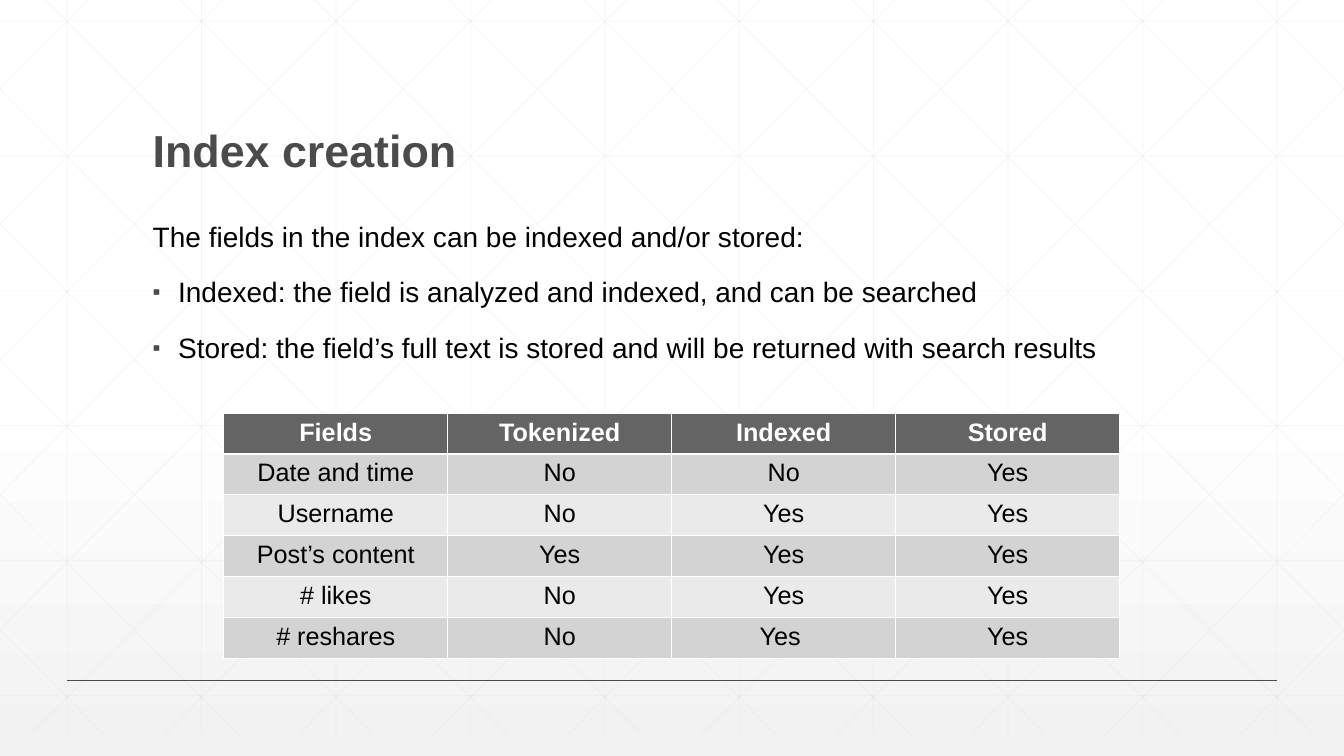
from lxml import etree
from pptx import Presentation
from pptx.dml.color import RGBColor
from pptx.enum import shapes, text
from pptx.oxml import ns
from pptx.util import Cm, Pt

WHITE = RGBColor(0xFF, 0xFF, 0xFF)
PALE = RGBColor(0xF2, 0xF2, 0xF2)
MESH = RGBColor(0xD9, 0xD9, 0xD9)
DARK = RGBColor(0x4B, 0x4B, 0x4B)
BLACK = RGBColor(0, 0, 0)
HEAD = RGBColor(0x64, 0x64, 0x64)
BANDS = RGBColor(0xEA, 0xEA, 0xEA), RGBColor(0xD3, 0xD3, 0xD3)

FONT = "Arial"
WIDE, HIGH = 33.87, 19.05
TOP, BASE = -0.53, 18.52
STEP = WIDE / 10
LEAN = 18.94

POINTS = [
    "The fields in the index can be indexed and/or stored:",
    "Indexed: the field is analyzed and indexed, and can be searched",
    "Stored: the field’s full text is stored and will be returned with search results",
]
ROWS = [
    ("Fields", "Tokenized", "Indexed", "Stored"),
    ("Date and time", "No", "No", "Yes"),
    ("Username", "No", "Yes", "Yes"),
    ("Post’s content", "Yes", "Yes", "Yes"),
    ("# likes", "No", "Yes", "Yes"),
    ("# reshares", "No", "Yes ", "Yes"),
]


def add_line(tree, ends, color, width, alpha=None):
    """Draw a straight line between two points, given in centimetres."""
    line = tree.add_connector(shapes.MSO_CONNECTOR.STRAIGHT, *map(Cm, ends))
    line.line.color.rgb = color
    line.line.width = Pt(width)
    props = line._element.spPr
    if alpha:
        tint = props.find(".//" + ns.qn("a:srgbClr"))
        etree.SubElement(tint, ns.qn("a:alpha"), val=str(alpha * 1000))
    etree.SubElement(props, ns.qn("a:effectLst"))


def add_mesh(slide):
    """Draw the faint grid with its diagonals, cut at the slide's sides."""
    ends = [(x, TOP, x, BASE) for x in (STEP * (i + 0.5) for i in range(10))]
    ends += [(0, y, WIDE, y) for y in (0.53 + 3.4 * i for i in range(6))]
    slope = (BASE - TOP) / LEAN
    for i in range(-5, 10):
        start = 0.63 + STEP * i
        left, right = max(start, 0), min(start + LEAN, WIDE)
        high, low = (TOP + (x - start) * slope for x in (left, right))
        ends += [(left, high, right, low), (WIDE - left, high, WIDE - right, low)]
    group = slide.shapes.add_group_shape()
    for item in ends:
        add_line(group.shapes, item, MESH, 0.5, 25)


def add_back(slide):
    """Fill the background with a gradient from white to pale grey."""
    fill = slide.background.fill
    fill.gradient()
    fill.gradient_angle = 270
    for stop, place, color in zip(fill.gradient_stops, (0.53, 1), (WHITE, PALE)):
        stop.position = place
        stop.color.rgb = color


def set_font(para, size, color, bold=False):
    """Set the font of a paragraph."""
    font = para.font
    font.name, font.size, font.bold = FONT, Pt(size), bold
    font.color.rgb = color


def add_text(slide, box, lines, size, color, bold=False):
    """Add a wrapped text box and return its frame."""
    frame = slide.shapes.add_textbox(*map(Cm, box)).text_frame
    frame.word_wrap = True
    frame.text = "\n".join(lines)
    for para in frame.paragraphs:
        para.line_spacing = 0.9
        set_font(para, size, color, bold)
    return frame


def add_bullet(para):
    """Give a paragraph a hanging square bullet."""
    props = para._p.get_or_add_pPr()
    props.set("marL", str(Cm(0.64)))
    props.set("indent", str(-Cm(0.64)))
    paint = etree.Element(ns.qn("a:buClr"))
    etree.SubElement(paint, ns.qn("a:srgbClr"), val=str(DARK))
    size = etree.Element(ns.qn("a:buSzPct"), val="80000")
    face = etree.Element(ns.qn("a:buFont"), typeface=FONT)
    mark = etree.Element(ns.qn("a:buChar"), char="▪")
    spot = props.index(props.find(ns.qn("a:defRPr")))
    props[spot:spot] = [paint, size, face, mark]


def add_grid(slide, box, rows):
    """Add the banded table of fields."""
    table = slide.shapes.add_table(len(rows), len(rows[0]), *map(Cm, box)).table
    for r, row in enumerate(rows):
        for c, word in enumerate(row):
            cell = table.cell(r, c)
            cell.text = word
            cell.fill.solid()
            cell.fill.fore_color.rgb = BANDS[r % 2] if r else HEAD
            para = cell.text_frame.paragraphs[0]
            para.alignment = text.PP_ALIGN.CENTER
            set_font(para, 18, BLACK if r else WHITE, r == 0)


def main():
    """Build the slide and save it."""
    deck = Presentation()
    deck.slide_width, deck.slide_height = Cm(WIDE), Cm(HIGH)
    slide = deck.slides.add_slide(deck.slide_layouts[6])
    add_back(slide)
    add_mesh(slide)
    add_line(slide.shapes, (1.69, 17.15, 32.17, 17.15), DARK, 1)
    title = add_text(slide, (3.6, 1.4, 26.67, 3.18), ["Index creation"], 32, DARK, True)
    title.vertical_anchor = text.MSO_ANCHOR.BOTTOM
    body = add_text(slide, (3.6, 5.5, 26.67, 10.6), POINTS, 20, BLACK)
    for para in body.paragraphs:
        para.space_before = Pt(18)
    for para in body.paragraphs[1:]:
        add_bullet(para)
    add_grid(slide, (5.64, 10.41, 22.58, 6.18), ROWS)
    deck.save("out.pptx")


if __name__ == "__main__":
    main()
